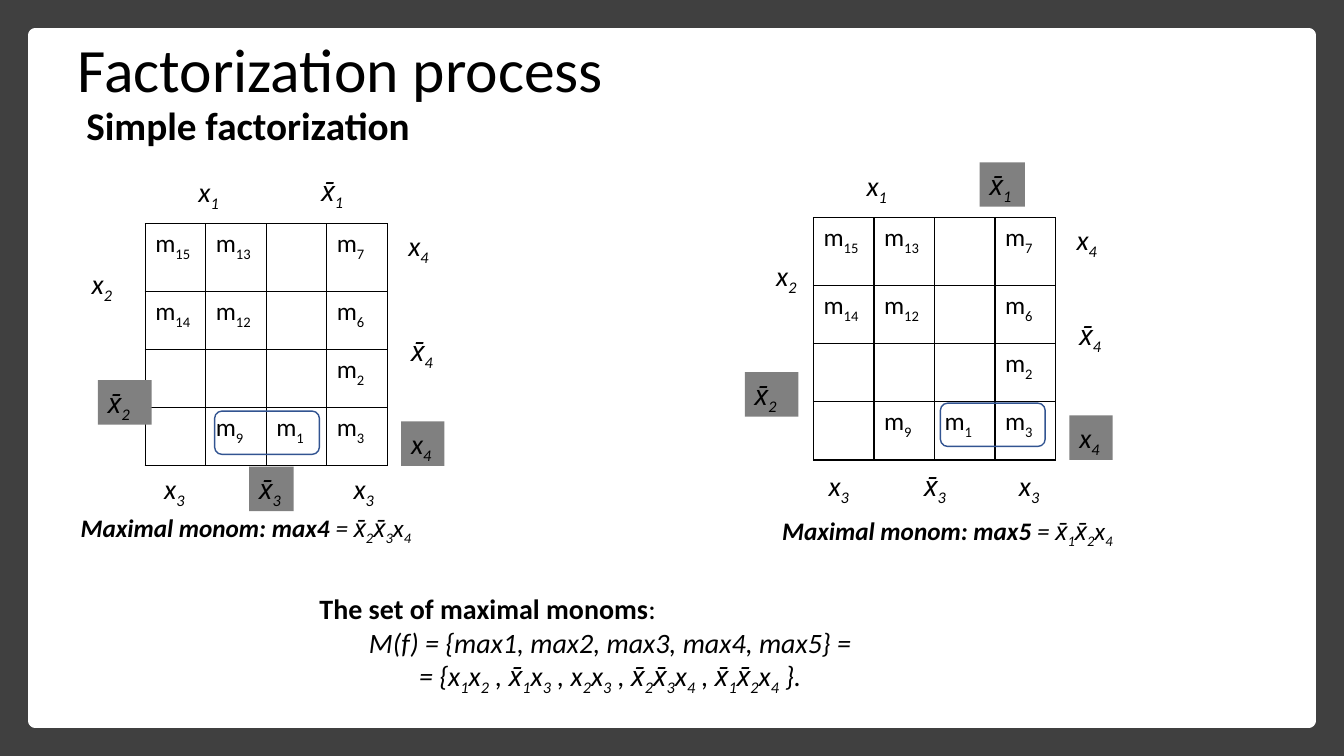
import pptx
import pptx.dml.color
import pptx.enum.shapes
import pptx.enum.text
import pptx.oxml
import pptx.oxml.ns
import pptx.util

Cm = pptx.util.Cm
Shape = pptx.enum.shapes.MSO_SHAPE
Align = pptx.enum.text.PP_ALIGN

HUES = {"ink": "000000", "edge": "404040", "page": "FFFFFF",
        "mark": "808080", "loop": "325491"}

MINTERMS = [["m~15~", "m~13~", "", "m~7~"],
            ["m~14~", "m~12~", "", "m~6~"],
            ["", "", "", "m~2~"],
            ["", "m~9~", "m~1~", "m~3~"]]

# Text, then left, top and width in cm from the corner of the map
LABELS = {"pos1": ("x~1~", 1.09, -1.36, 1.35),
          "neg1": ("x̄~1~", 4.19, -1.4, 1.14),
          "pos2": ("x~2~", -1.6, 0.94, 1.5),
          "neg2": ("x̄~2~", -1.19, 3.94, 1.35),
          "pos4": ("x~4~", 6.38, 0, 1.27),
          "neg4": ("x̄~4~", 6.45, 2.64, 1.27),
          "low4": ("x~4~", 6.45, 4.98, 1.09),
          "pos3": ("x~3~", 0.23, 6.12, 1.24),
          "neg3": ("x̄~3~", 2.62, 6.12, 1.12),
          "end3": ("x~3~", 5, 6.12, 1.27)}


def tint(name):
    return pptx.dml.color.RGBColor.from_string(HUES[name])


def write(para, text, size=20, bold=False, italic=False, hue="ink"):
    """Add text to a paragraph; parts between tildes are subscripts."""
    for place, part in enumerate(text.split("~")):
        if not part:
            continue
        run = para.add_run()
        run.text = part
        font = run.font
        font.name, font.size = "Calibri", pptx.util.Pt(size)
        font.bold, font.italic = bold, italic
        font.color.rgb = tint(hue)
        if place % 2:
            run._r.get_or_add_rPr().set("baseline", "-25000")


def add_box(slide, left, top, width, height, fill=None):
    box = slide.shapes.add_textbox(Cm(left), Cm(top), Cm(width), Cm(height))
    box.text_frame.word_wrap = True
    if fill:
        box.fill.solid()
        box.fill.fore_color.rgb = tint(fill)
    return box.text_frame


def add_form(slide, kind, left, top, width, height, fill=None, line=None, weight=1):
    form = slide.shapes.add_shape(kind, Cm(left), Cm(top), Cm(width), Cm(height))
    form.shadow.inherit = False
    if fill:
        form.fill.solid()
        form.fill.fore_color.rgb = tint(fill)
    else:
        form.fill.background()
    if line:
        form.line.color.rgb = tint(line)
        form.line.width = pptx.util.Pt(weight)
    else:
        form.line.fill.background()


def rule_cell(cell):
    """Clear the fill of a cell and draw its four borders."""
    cell.fill.background()
    props = cell._tc.get_or_add_tcPr()
    for place, side in enumerate(("lnL", "lnR", "lnT", "lnB")):
        props.insert(place, pptx.oxml.parse_xml(
            f'<a:{side} {pptx.oxml.ns.nsdecls("a")} w="12700"><a:solidFill>'
            f'<a:srgbClr val="{HUES["ink"]}"/></a:solidFill></a:{side}>'))


def add_frame(slide, width, height):
    rim = 0.89
    add_form(slide, Shape.RECTANGLE, 0, 0, width, height, fill="edge")
    add_form(slide, Shape.RECTANGLE, rim, rim, width - 2 * rim, height - 2 * rim,
             fill="page", line="page", weight=10)


def add_title(slide, left, top, width, height):
    title = slide.shapes.title
    slide.shapes.element.append(title.element)  # bring in front of the frame
    title.left, title.top = Cm(left), Cm(top)
    title.width, title.height = Cm(width), Cm(height)
    frame = title.text_frame
    frame.auto_size = pptx.enum.text.MSO_AUTO_SIZE.NONE
    frame.vertical_anchor = pptx.enum.text.MSO_ANCHOR.MIDDLE
    para = frame.paragraphs[0]
    para.alignment, para.line_spacing = Align.LEFT, 0.9
    write(para, "Factorization process", size=44)
    para.add_line_break()
    write(para, " Simple factorization", size=28, bold=True)


def add_grid(slide, left, top, side):
    count = len(MINTERMS)
    first = 1.71
    grid = slide.shapes.add_table(count, count, Cm(left), Cm(top),
                                  Cm(side), Cm(side)).table
    grid.first_row = grid.horz_banding = False
    for row, terms in enumerate(MINTERMS):
        grid.rows[row].height = Cm((side - first) / (count - 1) if row else first)
        grid.columns[row].width = Cm(side / count)
        for col, term in enumerate(terms):
            cell = grid.cell(row, col)
            rule_cell(cell)
            write(cell.text_frame.paragraphs[0], term, size=18)


def add_map(slide, left, top, marked, moved, loop, note):
    """Place a map, its labels, the loop and the monom below it."""
    add_grid(slide, left, top, 6.1)
    for key, (text, across, down, width) in LABELS.items():
        across, down = moved.get(key, (across, down))
        frame = add_box(slide, left + across, top + down, width, 1.12,
                        fill="mark" if key in marked else None)
        write(frame.paragraphs[0], text, italic=True)
    add_form(slide, Shape.ROUNDED_RECTANGLE, left + loop[0], top + loop[1],
             2.64, 1.09, line="loop")
    name, value, across, down, width = note
    para = add_box(slide, left + across, top + down, width, 1.02).paragraphs[0]
    write(para, "Maximal monom: " + name, size=18, bold=True, italic=True)
    write(para, " = " + value, size=18, italic=True)


def add_sum(slide, left, top, width, height):
    frame = add_box(slide, left, top, width, height)
    head = frame.paragraphs[0]
    write(head, "The set of maximal monoms", bold=True)
    write(head, ":")
    for text in ("M(f) = {max1, max2, max3, max4, max5} =",
                 "= {x~1~x~2~ , x̄~1~x~3~ , x~2~x~3~ , "
                 "x̄~2~x̄~3~x~4~ , x̄~1~x̄~2~x~4~ }."):
        para = frame.add_paragraph()
        para.alignment = Align.CENTER
        write(para, text, italic=True)


def main():
    deck = pptx.Presentation()
    deck.slide_width, deck.slide_height = Cm(33.87), Cm(19.05)
    slide = deck.slides.add_slide(deck.slide_layouts[5])
    add_frame(slide, 33.87, 19.05)
    add_title(slide, 1.7, 0.53, 29.21, 3.68)
    add_map(slide, 3.66, 5.64, {"neg2", "neg3", "low4"}, {}, (1.75, 4.72),
            ("max4", "x̄~2~x̄~3~x~4~", -1.88, 7.14, 10.19))
    add_map(slide, 20.5, 5.49, {"neg1", "neg2", "low4"},
            {"pos2": (-1.19, 0.91), "neg2": (-1.73, 3.89), "neg4": (6.45, 2.39),
             "pos3": (0.13, 6.2), "neg3": (2.54, 6.2), "end3": (4.93, 6.2)},
            (3.2, 4.67), ("max5", "x̄~1~x̄~2~x~4~", -1.04, 7.36, 9.45))
    add_sum(slide, 7.8, 14.78, 15.16, 3.68)
    deck.save("out.pptx")


if __name__ == "__main__":
    main()
